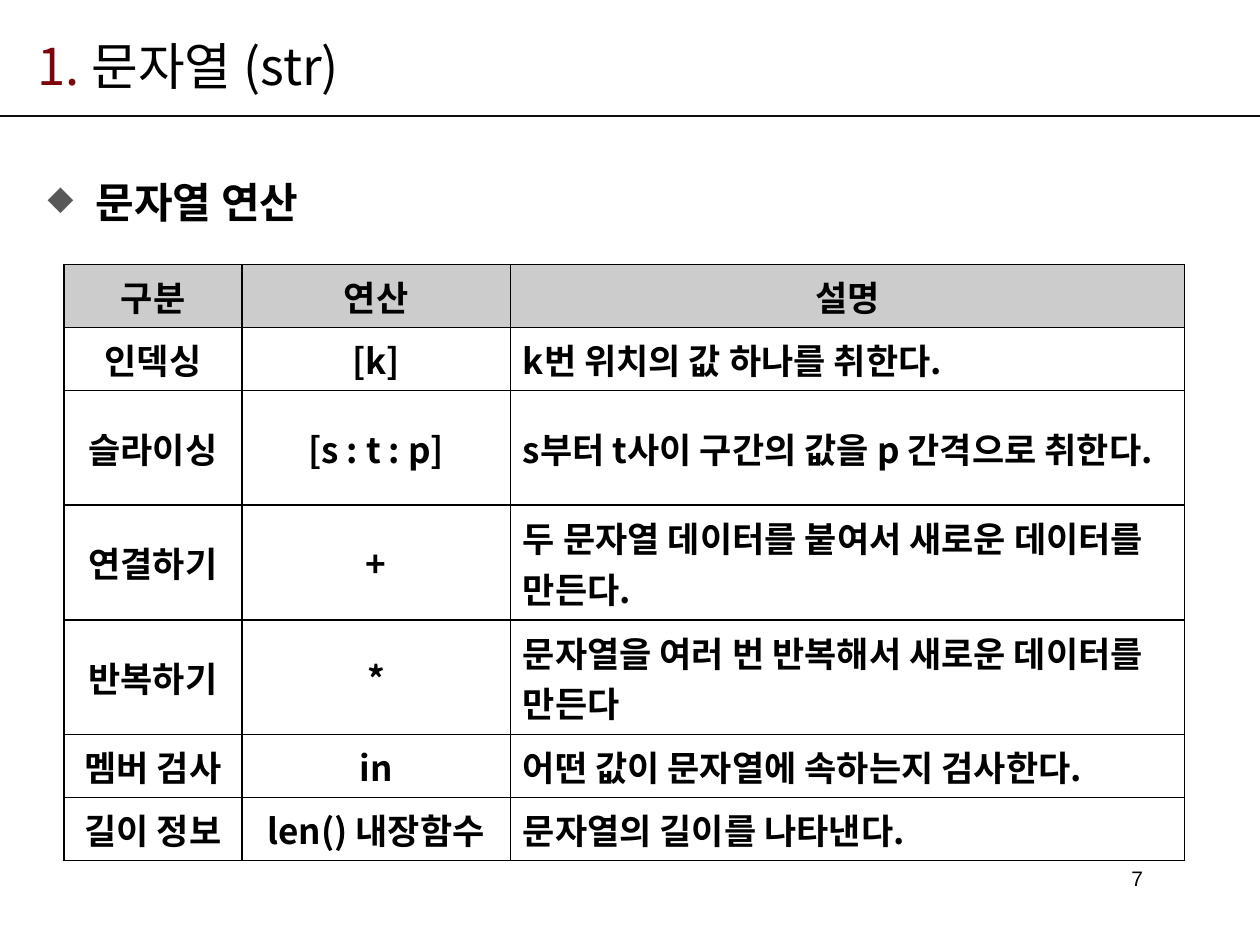
from lxml.etree import SubElement
from pptx import Presentation
from pptx.dml.color import RGBColor
from pptx.enum.shapes import MSO_CONNECTOR
from pptx.enum.text import MSO_ANCHOR, PP_ALIGN
from pptx.oxml.ns import qn
from pptx.util import Inches, Pt

TITLE = [("1. ", "red"), ("문자열 (str)", "black")]
HEADING = "문자열 연산"
PAGE_NUMBER = "7"
ROWS = [
    ("구분", "연산", "설명"),
    ("인덱싱", "[k]", "k번 위치의 값 하나를 취한다."),
    ("슬라이싱", "[s : t : p]", "s부터 t사이 구간의 값을 p 간격으로 취한다."),
    ("연결하기", "+", "두 문자열 데이터를 붙여서 새로운 데이터를 만든다."),
    ("반복하기", "*", "문자열을 여러 번 반복해서 새로운 데이터를 만든다"),
    ("멤버 검사", "in", "어떤 값이 문자열에 속하는지 검사한다."),
    ("길이 정보", "len() 내장함수", "문자열의 길이를 나타낸다."),
]
COLUMN_WIDTHS = [1.41, 2.13, 5.35]
ROW_HEIGHTS = [0.5, 0.5, 0.91, 0.91, 0.91, 0.5, 0.5]
COLORS = {"red": "7E040B", "black": "000000", "rule": "0D0D0D",
          "bullet": "585858", "header": "CCCCCC", "white": "FFFFFF"}
KOREAN = "Noto Sans CJK KR"


def color(name):
    return RGBColor.from_string(COLORS[name])


def format_run(run, size, color_name="black", bold=False, name=KOREAN):
    font = run.font
    font.size, font.bold, font.name = Pt(size), bold, name
    font.color.rgb = color(color_name)
    SubElement(run._r.get_or_add_rPr(), qn("a:ea"), typeface=name)


def add_title(slide):
    title = slide.shapes.title
    title.left, title.top, title.width, title.height = map(Inches, (0.2, 0.21, 8.43, 0.61))
    title.text_frame.vertical_anchor = MSO_ANCHOR.MIDDLE
    paragraph = title.text_frame.paragraphs[0]
    paragraph.alignment = PP_ALIGN.LEFT
    for text, color_name in TITLE:
        run = paragraph.add_run()
        run.text = text
        format_run(run, 29, color_name)


def add_text(slide, box, text, size, name=KOREAN, bold=False):
    frame = slide.shapes.add_textbox(*map(Inches, box)).text_frame
    frame.word_wrap = True
    frame.text = text
    paragraph = frame.paragraphs[0]
    format_run(paragraph.runs[0], size, bold=bold, name=name)
    return paragraph


def add_bullet(paragraph):
    properties = paragraph._p.get_or_add_pPr()
    properties.set("marL", str(Inches(0.38)))
    properties.set("indent", str(-Inches(0.38)))
    bullet_color = SubElement(properties, qn("a:buClr"))
    SubElement(bullet_color, qn("a:srgbClr"), val=COLORS["bullet"])
    SubElement(properties, qn("a:buSzPct"), val="80000")
    SubElement(properties, qn("a:buChar"), char="◆")
    paragraph.line_spacing = 1.5


def add_borders(cell):
    properties = cell._tc.get_or_add_tcPr()
    for position, side in enumerate(("lnL", "lnR", "lnT", "lnB")):
        line = SubElement(properties, qn(f"a:{side}"), w=str(Pt(1)))
        fill = SubElement(line, qn("a:solidFill"))
        SubElement(fill, qn("a:srgbClr"), val=COLORS["black"])
        properties.insert(position, line)


def add_operation_table(slide):
    table = slide.shapes.add_table(
        len(ROWS), len(COLUMN_WIDTHS), Inches(0.51), Inches(2.1),
        Inches(sum(COLUMN_WIDTHS)), Inches(sum(ROW_HEIGHTS))).table
    for column, width in zip(table.columns, COLUMN_WIDTHS):
        column.width = Inches(width)
    for row, height in zip(table.rows, ROW_HEIGHTS):
        row.height = Inches(height)
    for row_index, values in enumerate(ROWS):
        for column_index, text in enumerate(values):
            cell = table.cell(row_index, column_index)
            cell.fill.solid()
            cell.fill.fore_color.rgb = color("white" if row_index else "header")
            cell.vertical_anchor = MSO_ANCHOR.MIDDLE
            cell.text_frame.text = text
            paragraph = cell.text_frame.paragraphs[0]
            is_description = row_index > 0 and column_index == 2
            paragraph.alignment = PP_ALIGN.LEFT if is_description else PP_ALIGN.CENTER
            format_run(paragraph.runs[0], 20, bold=True)
            add_borders(cell)


def main():
    """Build the slide on string operations."""
    presentation = Presentation()
    presentation.slide_width, presentation.slide_height = Inches(10), Inches(7.5)
    slide = presentation.slides.add_slide(presentation.slide_layouts[5])
    rule = slide.shapes.add_connector(
        MSO_CONNECTOR.STRAIGHT, 0, Inches(0.92), Inches(10), Inches(0.92))
    rule.line.color.rgb = color("rule")
    rule.line.width = Pt(1.5)
    SubElement(rule._element.spPr, qn("a:effectLst"))
    add_title(slide)
    add_bullet(add_text(slide, (0.28, 1.15, 9.29, 5.35), HEADING, 24, bold=True))
    page_number = add_text(slide, (6.89, 6.82, 2.28, 0.28), PAGE_NUMBER, 12, "Arial")
    page_number.alignment = PP_ALIGN.RIGHT
    add_operation_table(slide)
    presentation.save("out.pptx")


if __name__ == "__main__":
    main()
